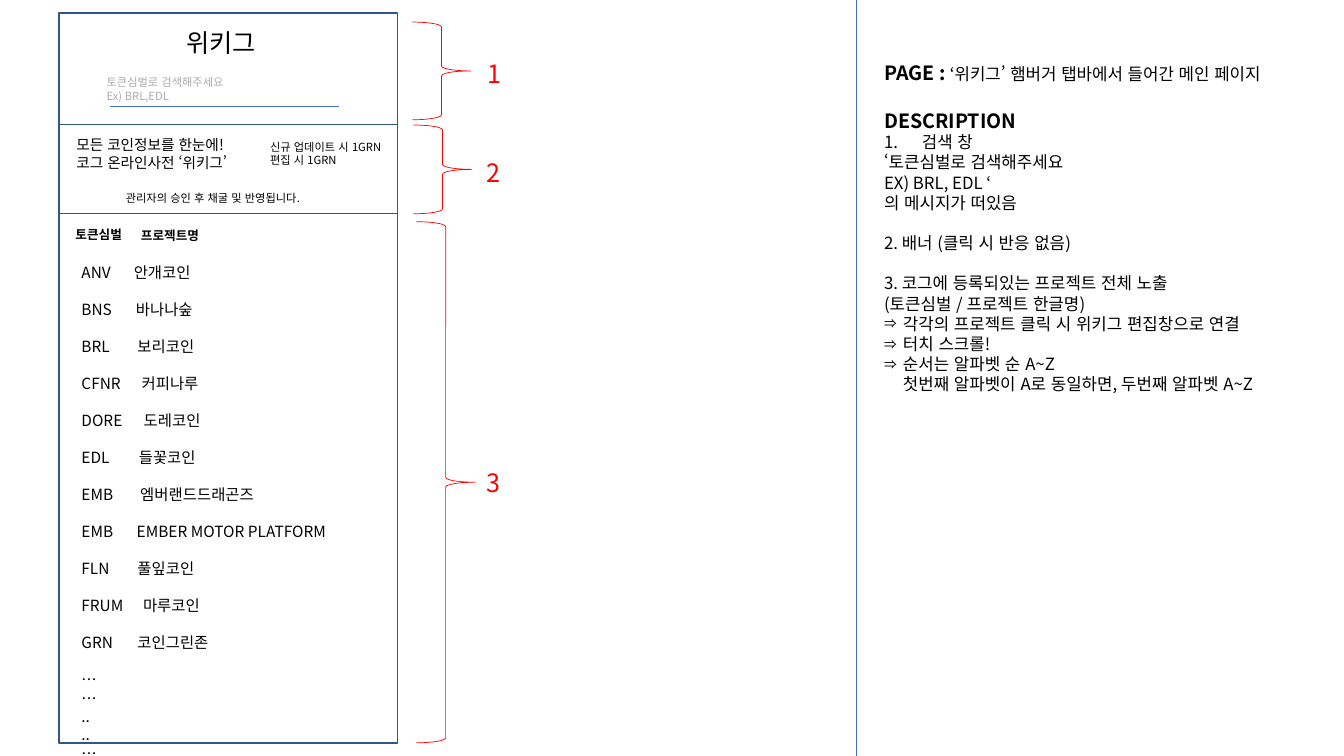
from lxml.etree import SubElement
from pptx import Presentation
from pptx.dml.color import RGBColor
from pptx.enum.lang import MSO_LANGUAGE_ID
from pptx.enum.shapes import MSO_CONNECTOR, MSO_SHAPE
from pptx.oxml.ns import qn
from pptx.util import Pt

RECT, BRACE = MSO_SHAPE.RECTANGLE, MSO_SHAPE.RIGHT_BRACE
STRAIGHT = MSO_CONNECTOR.STRAIGHT
KOREAN = MSO_LANGUAGE_ID.KOREAN
FONT = "Noto Sans CJK KR"
LEAD = 1.2
HEX = {"ink": "000000", "hint": "AFABAB", "mark": "FF0000",
       "frame": "325491", "rule": "4472C4"}

FRAMES = [(42.1, 9.4, 241.9, 521.3), (42.1, 88.9, 241.9, 63.8)]
RULES = [(78.5, 75.9, 241.9, 75.9), (611.6, 0, 611.6, 540)]
LABELS = [
    ((126, 15.8, 103, 28.8), 18, "ink", False, ["위키그"]),
    ((69.1, 50.4, 127.4, 26.6), 8, "hint", False,
     ["토큰심벌로 검색해주세요", "Ex) BRL,EDL"]),
    ((47.5, 93.6, 194.4, 45.4), 10.5, "ink", False,
     ["모든 코인정보를 한눈에!", "코그 온라인사전 ‘위키그’"]),
    ((185.8, 96.5, 279.4, 26.6), 8, "ink", False,
     ["신규 업데이트 시 1GRN", "편집 시 1GRN"]),
    ((82.8, 133.2, 169.9, 17.3), 8, "ink", False,
     ["관리자의 승인 후 채굴 및 반영됩니다."]),
    ((46.8, 158.4, 59, 18), 9, "ink", True, ["토큰심벌"]),
    ((93.6, 159.5, 77.8, 18), 9, "ink", True, ["프로젝트명"]),
]
BRACES = [
    ((294.5, 15.8, 41.8, 69.8), (341.3, 38.2)),
    ((295.2, 89.3, 41.8, 63.4), (340.2, 108.7)),
    ((297.4, 158.4, 41.8, 372.2), (340.2, 330)),
]
COIN_BOX, COIN_SIZE = (51.1, 184.5, 227.5, 355.5), 11
COINS = [
    ("ANV", "안개코인", 37.4), ("BNS", "바나나숲", 38.9),
    ("BRL", "보리코인", 40), ("CFNR", "커피나루", 43),
    ("DORE", "도레코인", 44.5), ("EDL", "들꽃코인", 41),
    ("EMB", "엠버랜드드래곤즈", 42), ("EMB", "EMBER MOTOR PLATFORM", 39.5),
    ("FLN", "풀잎코인", 40), ("FRUM", "마루코인", 44),
    ("GRN", "코인그린존", 40),
]
MORE = ["…", "…", "..", "..", "…"]
NOTE_BOX, NOTE_SIZE, HEAD_SIZE = (624.4, 40.3, 322.6, 264.2), 12, 14
PAGE = ("PAGE : ", "‘위키그’ 햄버거 탭바에서 들어간 메인 페이지")
HEAD = "DESCRIPTION"
NOTES = [
    ("1.", False, "검색 창"),
    ("", False, "‘토큰심벌로 검색해주세요\vEX) BRL, EDL ‘"),
    ("", False, "의 메시지가 떠있음"),
    ("", True, "2. 배너 (클릭 시 반응 없음)"),
    ("", True, "3. 코그에 등록되있는 프로젝트 전체 노출"),
    ("", False, "(토큰심벌 / 프로젝트 한글명)"),
    ("⇒", False, "각각의 프로젝트 클릭 시 위키그 편집창으로 연결"),
    ("⇒", False, "터치 스크롤!"),
    ("⇒", False, "순서는 알파벳 순 A~Z \v첫번째 알파벳이 A로 동일하면, 두번째 알파벳 A~Z"),
]
INDENT = {"1.": 27, "⇒": 13.5}


def tint(name):
    return RGBColor.from_string(HEX[name])


def style(run, size, color="ink", bold=False):
    font = run.font
    font.size, font.bold, font.name = Pt(size), bold, FONT
    font.language_id = KOREAN
    font.color.rgb = tint(color)
    SubElement(font._element, qn("a:ea"), typeface=FONT)


def add_box(slide, box):
    frame = slide.shapes.add_textbox(*map(Pt, box)).text_frame
    frame.word_wrap = True
    return frame


def add_para(frame, text, size, color="ink", bold=False, gap=False):
    first = frame.paragraphs[0]
    para = frame.add_paragraph() if first.runs else first
    para.text = text
    para.line_spacing = Pt(size * LEAD)
    para.space_before = Pt(size * LEAD if gap else 0)
    for run in para.runs:
        style(run, size, color, bold)
    return para


def add_mark(para, mark):
    props = para._p.get_or_add_pPr()
    indent = Pt(INDENT[mark])
    props.set("marL", str(indent))
    props.set("indent", str(-indent))
    if mark == "1.":
        SubElement(props, qn("a:buAutoNum"), type="arabicPeriod")
    else:
        SubElement(props, qn("a:buSzPct"), val="75000")
        SubElement(props, qn("a:buFont"), typeface=FONT)
        SubElement(props, qn("a:buChar"), char=mark)


def add_tab(para, stop):
    tabs = SubElement(para._p.get_or_add_pPr(), qn("a:tabLst"))
    SubElement(tabs, qn("a:tab"), pos=str(Pt(stop)), algn="l")


def add_form(slide, kind, box, color, width):
    form = slide.shapes.add_shape(kind, *map(Pt, box))
    form.shadow.inherit = False
    form.fill.background()
    form.line.color.rgb = tint(color)
    form.line.width = Pt(width)


def add_rule(slide, ends):
    rule = slide.shapes.add_connector(STRAIGHT, *map(Pt, ends))
    rule.line.color.rgb = tint("rule")
    rule.line.width = Pt(0.5)
    SubElement(rule._element.spPr, qn("a:effectLst"))


def add_coins(slide):
    frame = add_box(slide, COIN_BOX)
    for row, (code, name, stop) in enumerate(COINS):
        para = add_para(frame, f"{code}\t{name}", COIN_SIZE, gap=row > 0)
        add_tab(para, stop)
    for row, dots in enumerate(MORE):
        add_para(frame, dots, COIN_SIZE, gap=row == 0)


def add_notes(slide):
    frame = add_box(slide, NOTE_BOX)
    title, about = PAGE
    para = add_para(frame, title, HEAD_SIZE, bold=True)
    run = para.add_run()
    run.text = about
    style(run, NOTE_SIZE)
    add_para(frame, HEAD, HEAD_SIZE, bold=True, gap=True)
    for mark, gap, text in NOTES:
        para = add_para(frame, text, NOTE_SIZE, gap=gap)
        if mark:
            add_mark(para, mark)


def main():
    """Build the annotated wiki screen slide."""
    deck = Presentation()
    deck.slide_width, deck.slide_height = Pt(960), Pt(540)
    slide = deck.slides.add_slide(deck.slide_layouts[6])
    for box in FRAMES:
        add_form(slide, RECT, box, "frame", 1)
    for ends in RULES:
        add_rule(slide, ends)
    for box, size, color, bold, lines in LABELS:
        frame = add_box(slide, box)
        for line in lines:
            add_para(frame, line, size, color, bold)
    for count, (box, spot) in enumerate(BRACES, 1):
        add_form(slide, BRACE, box, "mark", 0.5)
        add_para(add_box(slide, (*spot, 33.8, 28.8)), str(count), 18, "mark")
    add_coins(slide)
    add_notes(slide)
    deck.save("out.pptx")


if __name__ == "__main__":
    main()
